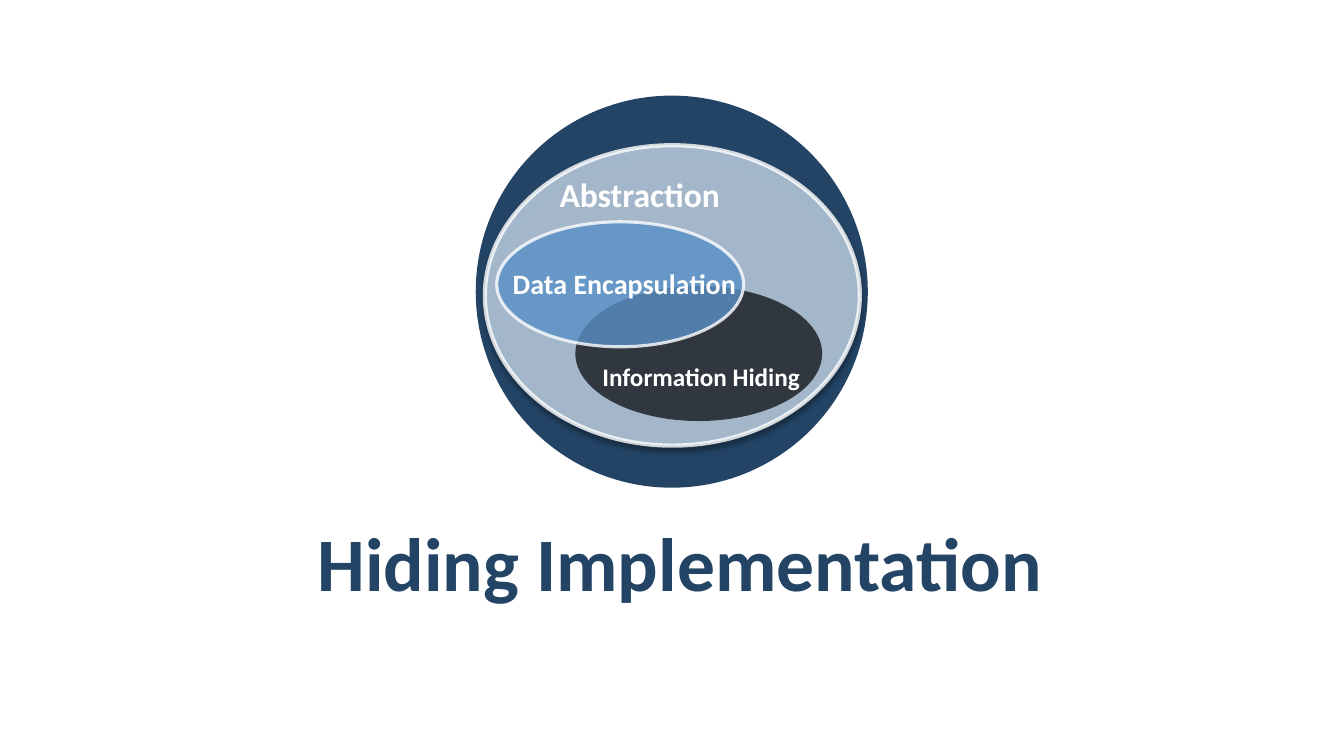
import pptx
import pptx.util
import pptx.dml.color
import pptx.enum.shapes
import pptx.enum.text
import pptx.oxml.ns
import lxml.etree as etree

Cm, Pt = pptx.util.Cm, pptx.util.Pt
PP_ALIGN = pptx.enum.text.PP_ALIGN
ANCHOR = pptx.enum.text.MSO_ANCHOR

COLORS = {
    "navy": "234465",
    "pale": "C7DAEC",
    "dark": "15171C",
    "blue": "588FC5",
    "white": "FFFFFF",
    "black": "000000",
}

ELLIPSES = [
    {"box": (11.99, 2.41, 9.88, 9.88), "fill": ("navy", 100)},
    {"box": (12.22, 3.66, 9.45, 7.57), "fill": ("pale", 80),
     "line": ("white", 80, 3), "shadow": ("black", 40, 4, 3, 90)},
    {"box": (14.5, 7.21, 6.22, 3.4), "fill": ("dark", 80)},
    {"box": (12.52, 5.59, 6.22, 3.15), "fill": ("blue", 80),
     "line": ("white", 100, 2.25)},
]

LABEL = {"margins": (0.4, 0.3), "anchor": ANCHOR.TOP,
         "para": {"alignment": PP_ALIGN.LEFT, "line_spacing": 1.1}}
TITLE = {"margins": (0.3, 0.1), "anchor": ANCHOR.MIDDLE,
         "para": {"alignment": PP_ALIGN.CENTER}}

TEXTS = [
    (" Abstraction", (13.51, 3.99, 6.27, 1.73), 24, "white", LABEL),
    ("Information Hiding", (14.78, 8.74, 7.9, 1.45), 18, "white", LABEL),
    ("Data Encapsulation", (12.52, 6.32, 8.46, 1.55), 20, "white", LABEL),
    (" Hiding Implementation", (1.7, 13.08, 30.45, 2.13), 54, "navy", TITLE),
]


def rgb(name):
    return pptx.dml.color.RGBColor.from_string(COLORS[name])


def add_node(parent, tag, **attrs):
    node = etree.SubElement(parent, pptx.oxml.ns.qn(tag))
    for key, value in attrs.items():
        node.set(key, str(value))
    return node


def paint(fill, color, opacity):
    fill.solid()
    fill.fore_color.rgb = rgb(color)
    if opacity < 100:
        for node in fill._xPr.iter(pptx.oxml.ns.qn("a:srgbClr")):
            add_node(node, "a:alpha", val=opacity * 1000)


def add_shadow(sp, color, opacity, blur, distance, angle):
    effects = sp._element.spPr.find(pptx.oxml.ns.qn("a:effectLst"))
    shadow = add_node(effects, "a:outerShdw", blurRad=Pt(blur),
                      dist=Pt(distance), dir=angle * 60000, rotWithShape=0)
    node = add_node(shadow, "a:srgbClr", val=COLORS[color])
    add_node(node, "a:alpha", val=opacity * 1000)


def add_ellipse(s, item):
    sp = s.shapes.add_shape(pptx.enum.shapes.MSO_SHAPE.OVAL, *map(Cm, item["box"]))
    sp.shadow.inherit = False
    if "line" in item:
        color, opacity, width = item["line"]
        sp.line.width = Pt(width)
        paint(sp.line.fill, color, opacity)
    else:
        sp.line.fill.background()
    paint(sp.fill, *item["fill"])
    if "shadow" in item:
        add_shadow(sp, *item["shadow"])


def add_text(s, text, box, size, color, style):
    tf = s.shapes.add_textbox(*map(Cm, box)).text_frame
    side, edge = map(Cm, style["margins"])
    frame = {"word_wrap": True, "vertical_anchor": style["anchor"],
             "margin_left": side, "margin_right": side,
             "margin_top": edge, "margin_bottom": edge}
    p = tf.paragraphs[0]
    r = p.add_run()
    r.text = text
    r.font.color.rgb = rgb(color)
    font = {"name": "Calibri", "size": Pt(size), "bold": True}
    for target, values in ((tf, frame), (p, style["para"]), (r.font, font)):
        for key, value in values.items():
            setattr(target, key, value)


def main():
    prs = pptx.Presentation()
    prs.slide_width, prs.slide_height = Cm(33.87), Cm(19.05)
    s = prs.slides.add_slide(prs.slide_layouts[6])
    for item in ELLIPSES:
        add_ellipse(s, item)
    for item in TEXTS:
        add_text(s, *item)
    prs.save("out.pptx")


if __name__ == "__main__":
    main()
